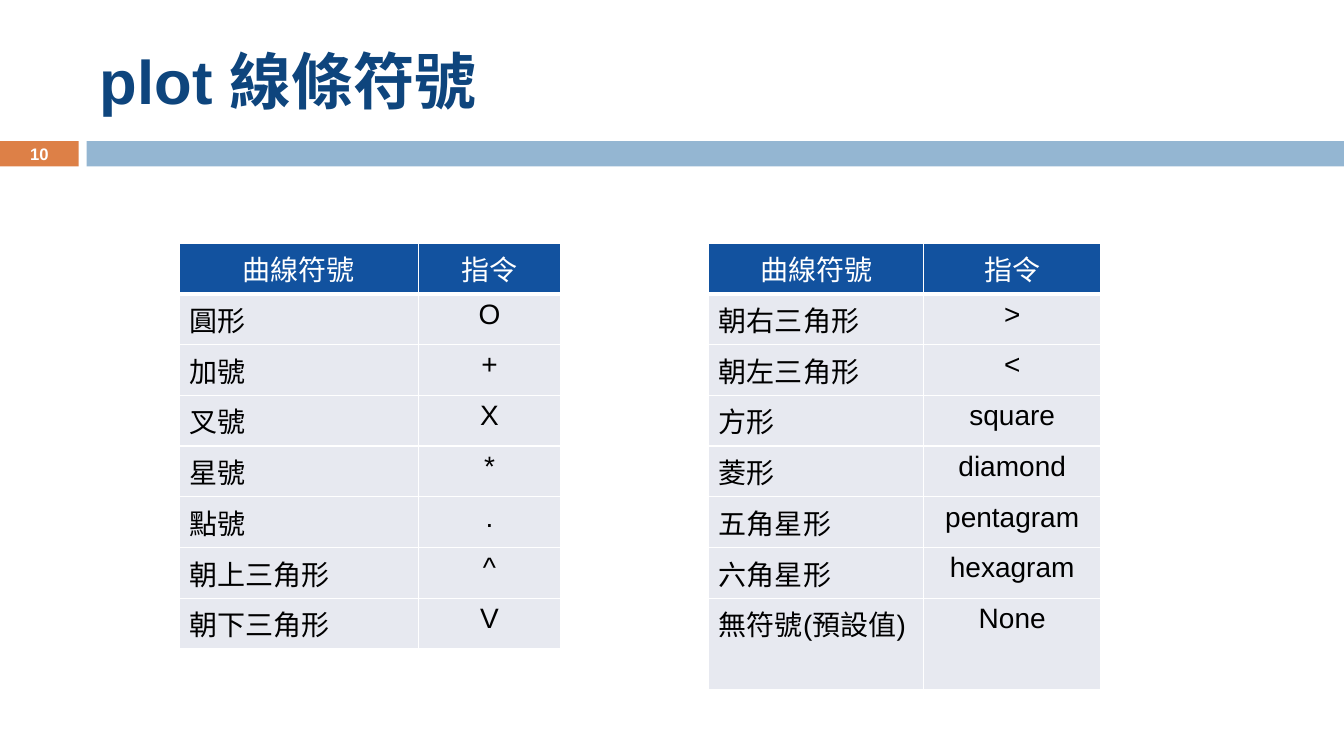
from lxml import etree
from pptx import Presentation
from pptx import util as u
from pptx.dml.color import RGBColor
from pptx.enum import shapes, text
from pptx.oxml import ns

LEFT, MID = text.PP_ALIGN.LEFT, text.PP_ALIGN.CENTER
HEAD = ("曲線符號", "指令")
MARKS = [("圓形", "O"), ("加號", "+"), ("叉號", "X"), ("星號", "*"),
         ("點號", "."), ("朝上三角形", "^"), ("朝下三角形", "V")]
SHAPES = [("朝右三角形", ">"), ("朝左三角形", "<"), ("方形", "square"),
          ("菱形", "diamond"), ("五角星形", "pentagram"),
          ("六角星形", "hexagram"), ("無符號(預設值)", "None")]


def color(code):
    return RGBColor.from_string(code)


def write(frame, words, align, tint, **form):
    frame.text = words
    para = frame.paragraphs[0]
    para.alignment = align
    font = para.runs[0].font
    for key, val in {"name": "Arial", **form}.items():
        setattr(font, key, val)
    font.color.rgb = color(tint)


def title(slide, box, words):
    head = slide.shapes.title
    for key, val in zip(("left", "top", "width", "height"), box):
        setattr(head, key, u.Inches(val))
    frame = head.text_frame
    frame.auto_size = text.MSO_AUTO_SIZE.NONE
    frame.vertical_anchor = text.MSO_ANCHOR.MIDDLE
    write(frame, words, LEFT, "0E457D", size=u.Pt(44), bold=True)


def band(slide, box, number):
    """Page number block, a small gap, then a bar to the right edge."""
    left, top, width, height = box
    block, gap = 0.78, 0.08
    bar = block + gap
    parts = [(left, block, "DD8047"), (left + bar, width - bar, "94B6D2")]
    rects = []
    for x, wide, tint in parts:
        rect = slide.shapes.add_shape(
            shapes.MSO_SHAPE.RECTANGLE,
            *map(u.Inches, (x, top, wide, height)))
        rect.shadow.inherit = False
        rect.fill.solid()
        rect.fill.fore_color.rgb = color(tint)
        rect.line.fill.background()
        rects.append(rect)
    frame = rects[0].text_frame
    frame.margin_top = frame.margin_bottom = 0
    frame.vertical_anchor = text.MSO_ANCHOR.MIDDLE
    write(frame, number, MID, "FFFFFF", size=u.Pt(11.9), bold=True)


def border(cell, widths):
    props = cell._tc.get_or_add_tcPr()
    for side, width in widths.items():
        line = etree.SubElement(props, ns.qn("a:ln" + side),
                                w=str(u.Pt(width)))
        fill = etree.SubElement(line, ns.qn("a:solidFill"))
        etree.SubElement(fill, ns.qn("a:srgbClr"), val="FFFFFF")


def grid(slide, box, cols, rows):
    """Table with a dark head row and a thick rule below it."""
    rows = [HEAD, *rows]
    table = slide.shapes.add_table(len(rows), len(cols),
                                   *map(u.Inches, box)).table
    table.horz_banding = False
    for col, wide in zip(table.columns, cols):
        col.width = u.Inches(wide)
    for r, row in enumerate(rows):
        table.rows[r].height = u.Inches(0.41)
        for c, words in enumerate(row):
            cell = table.cell(r, c)
            border(cell, {"L": 1, "R": 1, "T": 3 if r == 1 else 1,
                          "B": 3 if r == 0 else 1})
            cell.fill.solid()
            cell.fill.fore_color.rgb = color("E7E9F0" if r else "12529F")
            write(cell.text_frame, words, LEFT if r and c == 0 else MID,
                  "000000" if r else "FFFFFF", size=u.Pt(20), bold=False)


def main():
    deck = Presentation()
    deck.slide_width, deck.slide_height = u.Inches(13.33), u.Inches(7.5)
    slide = deck.slides.add_slide(deck.slide_layouts[5])
    band(slide, (0, 1.4, 13.33, 0.25), "10")
    title(slide, (0.89, 0.25, 11.89, 1.08), "plot 線條符號")
    grid(slide, (1.78, 2.41, 3.78, 3.28), (2.37, 1.41), MARKS)
    grid(slide, (7.03, 2.41, 3.89, 3.28), (2.13, 1.76), SHAPES)
    deck.save("out.pptx")


if __name__ == "__main__":
    main()
